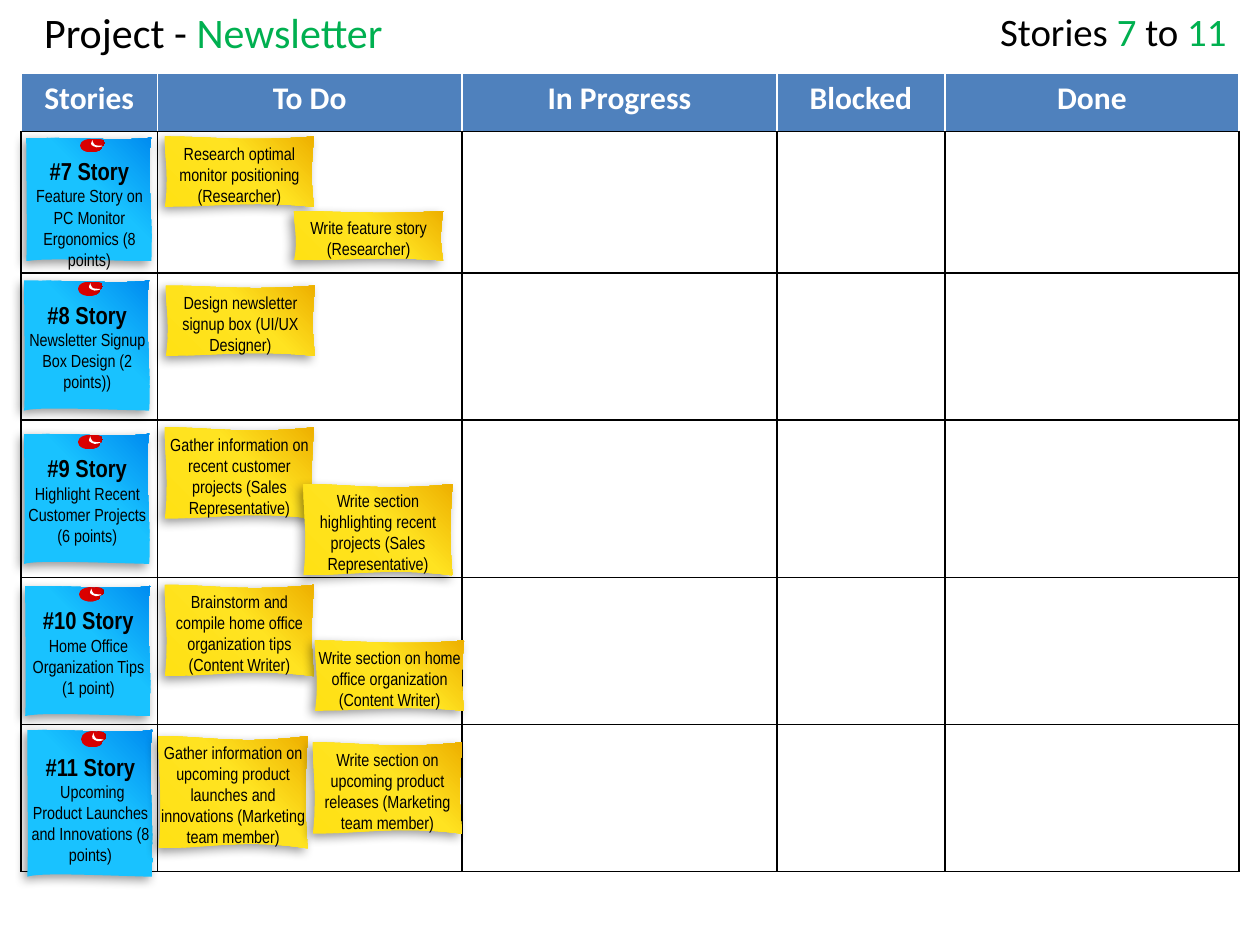
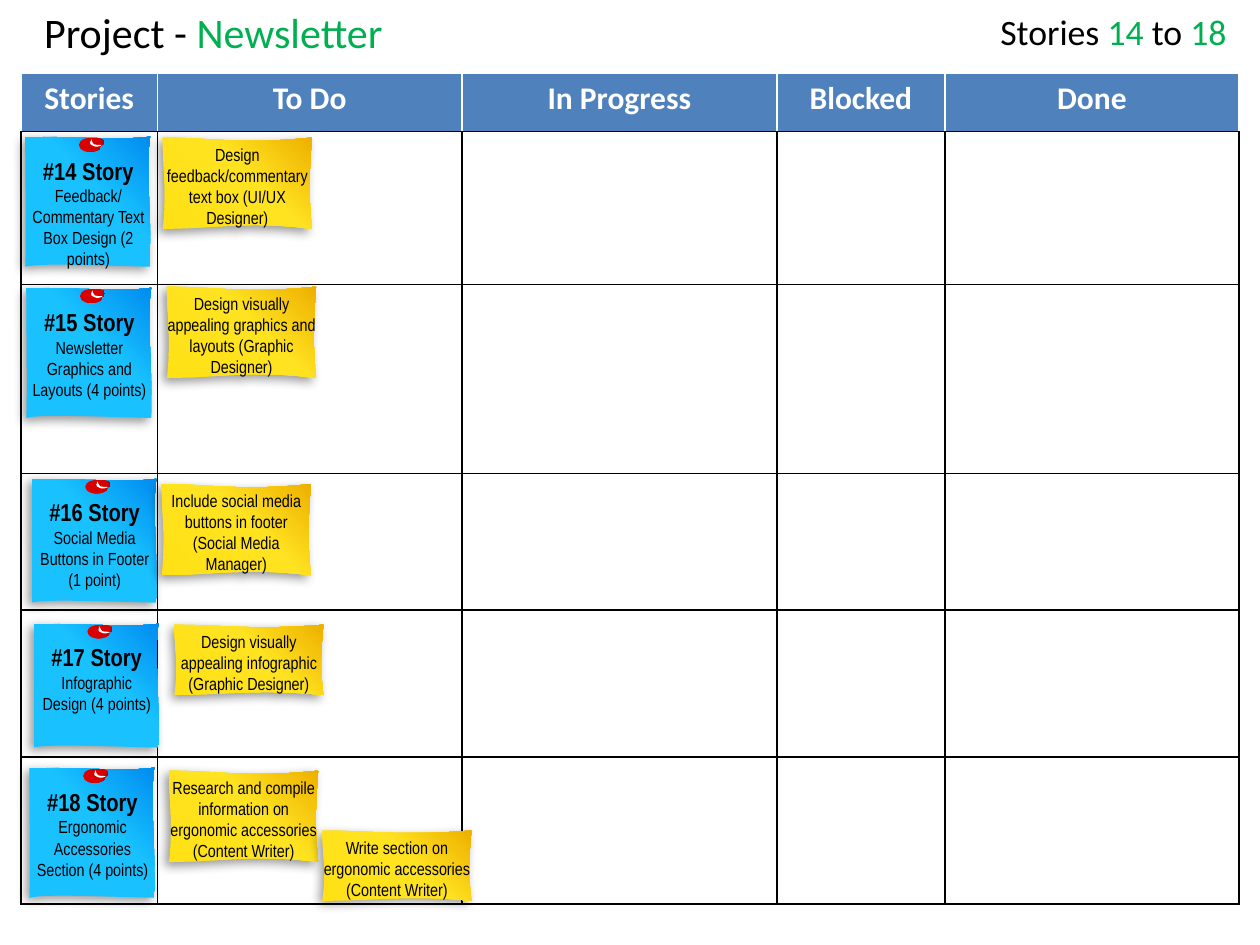
from dataclasses import dataclass
from itertools import accumulate

from pptx import Presentation
from pptx import util as u
from pptx.dml.color import RGBColor
from pptx.enum import shapes, text
from pptx.oxml import parse_xml
from pptx.oxml.ns import nsdecls, qn


@dataclass(frozen=True)
class Theme:
    ink: str = "000000"
    paper: str = "FFFFFF"
    accent: str = "00B050"
    header: str = "4F81BD"
    story: tuple = ((0, "19C2FF"), (58, "19C2FF"), (100, "008CF0"))
    task: tuple = ((0, "FFE115"), (58, "FFE321"), (100, "EEB000"))
    pin: tuple = ((0, "DA0000"), (80, "D60000"), (100, "AC0000"))
    font: str = "Calibri"
    note_font: str = "Arial Narrow"
    title_size: float = 24
    header_size: float = 18
    story_size: float = 14
    note_size: float = 10


# The grid has 12 units to the inch, so the slide is 120 by 90 units.
UNIT = u.Inches(1) // 12
BOARD_X, BOARD_Y, HEADER_H = 2, 7, 5.5
COLUMNS = {"Stories": 13, "To Do": 29, "In Progress": 30, "Blocked": 16, "Done": 28}
STORY_W, TASK_W = 11.9, 14.2

# Outlines as shares of their box: a start point, then cubic curves.
STORY_OUTLINE = ((0, 0), (.33, 0, .84, .03, 1, 0), (.96, .22, 1.02, .8, 1, 1),
                 (.55, .99, .1, .97, 0, 1), (.01, .82, 0, .33, 0, 0))
TASK_OUTLINE = ((0, 0), (.33, 0, .53, .08, 1, 0), (.98, .5, .98, .6, 1, 1),
                (.57, .91, .33, 1, 0, 1), (.03, .55, 0, .33, 0, 0))
GLINT_OUTLINE = ((.53, .02), (.53, .02, .53, .04, .55, .06), (.58, .07, .61, .06, .61, .07),
                 (.6, .07, .57, .09, .54, .07), (.5, .06, .53, .03, .53, .02))
PIN_PARTS = ((.43, .01, .18, .11), (.51, .01, .12, .07))

# Story: number, wording, (x, y, height) in its cell, tasks.
# Task: wording, (x, y) in its cell, number of text lines.
SLIDES = [
    dict(size=22.2, rows=(13.5, 14, 15, 14, 14), stories=[
        (7, "Feature Story on PC Monitor Ergonomics (8 points)", (.5, .6, 11.8), [
            ("Research optimal monitor positioning (Researcher)", (.7, .5), 3),
            ("Write feature story (Researcher)", (13, 7.6), 2)]),
        (8, "Newsletter Signup Box Design (2 points))", (.3, .7, 12.4), [
            ("Design newsletter signup box (UI/UX Designer)", (.8, 1.2), 3)]),
        (9, "Highlight Recent Customer Projects (6 points)", (.3, 1.3, 12.4), [
            ("Gather information on recent customer projects (Sales Representative)", (.7, .7), 4),
            ("Write section highlighting recent projects (Sales Representative)", (13.9, 6.1), 4)]),
        (10, "Home Office Organization Tips (1 point)", (.4, .8, 12.4), [
            ("Brainstorm and compile home office organization tips (Content Writer)", (.7, .7), 4),
            ("Write section on home office organization (Content Writer)", (15, 6), 3)]),
        (11, " Upcoming Product Launches and Innovations (8 points)", (.6, .5, 14), [
            ("Gather information on upcoming product launches and innovations "
             "(Marketing team member)", (.1, 1.1), 5),
            ("Write section on upcoming product releases (Marketing team member)",
             (14.8, 1.7), 4)]),
    ]),
    dict(size=20.4, rows=(14.6, 18, 13, 14, 14), stories=[
        (14, "Feedback/Commentary Text Box Design (2 points)", (.4, .5, 12.4), [
            ("Design feedback/commentary text box (UI/UX Designer)", (.5, .6), 4)]),
        (15, "Newsletter Graphics and Layouts (4 points)", (.5, .3, 12.4), [
            ("Design visually appealing graphics and layouts (Graphic Designer)", (.9, .2), 4)]),
        (16, "Social Media Buttons in Footer (1 point)", (1, .5, 11.8), [
            ("Include social media buttons in footer (Social Media Manager)", (.4, 1), 4)]),
        (17, "Infographic Design (4 points)", (1.2, 1.3, 11.8), [
            ("Design visually appealing infographic (Graphic Designer)", (1.6, 1.4), 3)]),
        (18, "Ergonomic Accessories Section (4 points)", (.8, 1, 12.4), [
            ("Research and compile information on ergonomic accessories (Content Writer)",
             (1.1, 1.3), 4),
            ("Write section on ergonomic accessories (Content Writer)", (15.7, 7), 3)]),
    ]),
]


def grid(*lengths):
    return [round(n * UNIT) for n in lengths]


def write(tf, *paragraphs, align=None, anchor=text.MSO_ANCHOR.TOP, insets=None,
          auto_size=text.MSO_AUTO_SIZE.NONE, font=Theme.font, size=None,
          color=Theme.ink, bold=False):
    """Fill a text frame; a paragraph is a list of (wording, format overrides)."""
    tf.word_wrap, tf.auto_size, tf.vertical_anchor = True, auto_size, anchor
    if insets:
        (tf.margin_left, tf.margin_top,
         tf.margin_right, tf.margin_bottom) = [u.Inches(n) for n in insets]
    for i, runs in enumerate(paragraphs):
        p = tf.add_paragraph() if i else tf.paragraphs[0]
        p.alignment = align
        for wording, extra in runs:
            look = dict(font=font, size=size, color=color, bold=bold) | extra
            r = p.add_run()
            r.text = wording
            r.font.name, r.font.size = look["font"], u.Pt(look["size"])
            r.font.bold = look["bold"]
            r.font.color.rgb = RGBColor.from_string(look["color"])


def paint(sp, fill, angle=0, shadow=False):
    """Fill a shape with a colour or gradient stops, with no line."""
    sp.line.fill.background()
    sp.shadow.inherit = False
    props = sp._element.spPr
    if isinstance(fill, str):
        sp.fill.solid()
        sp.fill.fore_color.rgb = RGBColor.from_string(fill)
    else:
        sp.fill.background()
        stops = "".join(f'<a:gs pos="{pos * 1000}"><a:srgbClr val="{color}"/></a:gs>'
                        for pos, color in fill)
        props.replace(props.find(qn("a:noFill")), parse_xml(
            f'<a:gradFill {nsdecls("a")} rotWithShape="1"><a:gsLst>{stops}</a:gsLst>'
            f'<a:lin ang="{angle * 60000}" scaled="0"/></a:gradFill>'))
    if shadow:
        props.find(qn("a:effectLst")).append(parse_xml(
            f'<a:outerShdw {nsdecls("a")} blurRad="{u.Pt(6)}" dist="{u.Pt(3)}" '
            f'dir="{135 * 60000}" algn="tr" rotWithShape="0"><a:srgbClr val="{Theme.ink}">'
            '<a:alpha val="40000"/></a:srgbClr></a:outerShdw>'))


def bend(sp, curves):
    """Replace each straight segment of a freeform by a cubic curve."""
    for segment, points in zip(list(sp._element.iter(qn("a:lnTo"))), curves):
        marks = "".join(f'<a:pt x="{x - sp.left}" y="{y - sp.top}"/>' for x, y in points)
        segment.getparent().replace(segment, parse_xml(
            f'<a:cubicBezTo {nsdecls("a")}>{marks}</a:cubicBezTo>'))


def set_borders(cell, **colors):
    """Draw 1 pt borders; call before filling the cell, as lines come first."""
    for side in "LRTB":
        cell._tc.get_or_add_tcPr().append(parse_xml(
            f'<a:ln{side} {nsdecls("a")} w="{u.Pt(1)}"><a:solidFill>'
            f'<a:srgbClr val="{colors.get(side, Theme.ink)}"/></a:solidFill></a:ln{side}>'))


class TaskBoard:
    def __init__(self, prs, theme):
        self.prs, self.theme, self.slide = prs, theme, None

    def new_slide(self):
        self.slide = self.prs.slides.add_slide(self.prs.slide_layouts[5])

    def title(self):
        sp = self.slide.shapes.title
        sp.left, sp.top, sp.width, sp.height = grid(3, 0, 92, 6)
        write(sp.text_frame, [("Project - ", {}), ("Newsletter", {"color": self.theme.accent})],
              align=text.PP_ALIGN.LEFT, anchor=text.MSO_ANCHOR.MIDDLE,
              size=self.theme.title_size)

    def story_range(self, first, last, size):
        sp = self.slide.shapes.add_textbox(*grid(92.8, 0, 25.2, 6))
        green = {"color": self.theme.accent}
        write(sp.text_frame, [("Stories ", {}), (str(first), green),
                              (" to ", {}), (str(last), green)],
              align=text.PP_ALIGN.RIGHT, anchor=text.MSO_ANCHOR.MIDDLE, size=size)

    def table(self, rows):
        heights = (HEADER_H, *rows)
        box = grid(BOARD_X, BOARD_Y, sum(COLUMNS.values()), sum(heights))
        table = self.slide.shapes.add_table(len(heights), len(COLUMNS), *box).table
        for row, height in zip(table.rows, grid(*heights)):
            row.height = height
        for column, width in zip(table.columns, grid(*COLUMNS.values())):
            column.width = width
        for cell, name in zip(table.rows[0].cells, COLUMNS):
            set_borders(cell, **dict.fromkeys("LRT", self.theme.paper))
            cell.fill.solid()
            cell.fill.fore_color.rgb = RGBColor.from_string(self.theme.header)
            cell.margin_bottom = u.Inches(.1)
            write(cell.text_frame, [(name, {})], align=text.PP_ALIGN.CENTER,
                  size=self.theme.header_size, color=self.theme.paper, bold=True)
        for row in list(table.rows)[1:]:
            for cell in row.cells:
                set_borders(cell)
                cell.fill.background()

    def outline(self, parent, outline, x, y, w, h, fill, **look):
        start, *curves = [
            [tuple(grid(x + px * w, y + py * h)) for px, py in zip(part[::2], part[1::2])]
            for part in outline]
        builder = parent.build_freeform(*start[0])
        builder.add_line_segments([points[-1] for points in curves], close=True)
        sp = builder.convert_to_shape()
        bend(sp, curves)
        paint(sp, fill, **look)
        return sp

    def story(self, number, wording, x, y, h):
        parent, w = self.slide.shapes.add_group_shape().shapes, STORY_W
        self.outline(parent, STORY_OUTLINE, x, y, w, h, self.theme.story,
                     angle=315, shadow=True)
        label = parent.add_textbox(*grid(x + .03 * w, y + .15 * h, .95 * w, .72 * h))
        write(label.text_frame,
              [(f"#{number} Story", {"size": self.theme.story_size, "bold": True})],
              [(wording, {})], align=text.PP_ALIGN.CENTER, insets=(0, 0, 0, 0),
              auto_size=text.MSO_AUTO_SIZE.SHAPE_TO_FIT_TEXT,
              font=self.theme.note_font, size=self.theme.note_size)
        for px, py, pw, ph in PIN_PARTS:
            paint(parent.add_shape(shapes.MSO_SHAPE.OVAL, *grid(
                x + px * w, y + py * h, pw * w, ph * h)), self.theme.pin)
        self.outline(parent, GLINT_OUTLINE, x, y, w, h, self.theme.paper)

    def task(self, wording, x, y, lines):
        sp = self.outline(self.slide.shapes, TASK_OUTLINE, x, y, TASK_W, 2 * lines + .7,
                          self.theme.task, angle=315, shadow=True)
        write(sp.text_frame, [(wording, {})], align=text.PP_ALIGN.CENTER,
              insets=(0, .05, 0, 0), auto_size=text.MSO_AUTO_SIZE.SHAPE_TO_FIT_TEXT,
              font=self.theme.note_font, size=self.theme.note_size)


def main():
    prs = Presentation()
    prs.slide_width, prs.slide_height = grid(120, 90)
    board = TaskBoard(prs, Theme())
    todo_x = BOARD_X + COLUMNS["Stories"]
    for content in SLIDES:
        rows, stories = content["rows"], content["stories"]
        board.new_slide()
        board.title()
        board.table(rows)
        board.story_range(stories[0][0], stories[-1][0], content["size"])
        row_tops = accumulate(rows, initial=BOARD_Y + HEADER_H)
        for row_y, (number, wording, (x, y, h), tasks) in zip(row_tops, stories):
            board.story(number, wording, BOARD_X + x, row_y + y, h)
            for task, (task_x, task_y), lines in tasks:
                board.task(task, todo_x + task_x, row_y + task_y, lines)
    prs.save("out.pptx")


if __name__ == "__main__":
    main()
